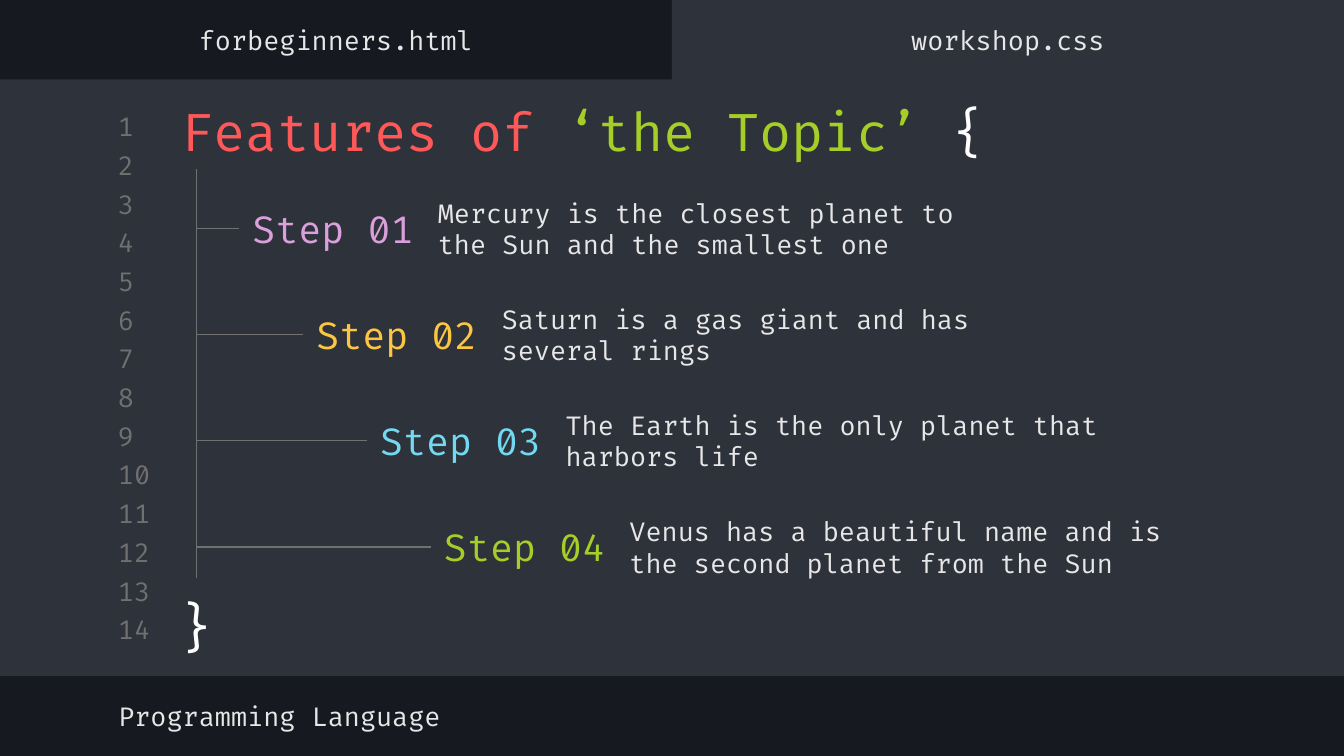
from lxml.etree import SubElement
from pptx import Presentation
from pptx.dml.color import RGBColor
from pptx.enum.shapes import MSO_CONNECTOR as CONN, MSO_SHAPE as SHAPE
from pptx.enum.text import MSO_ANCHOR as ANCHOR, MSO_AUTO_SIZE as AUTO, PP_ALIGN as ALIGN
from pptx.oxml.ns import qn
from pptx.util import Inches, Pt

COLS, ROWS = 100, 56.25
SLIDE_W, SLIDE_H = Inches(10), Inches(5.625)
FONT = "Fira Code"
COLORS = {
    "dark": "16191F", "panel": "2E323B", "muted": "707070", "text": "E7E7E7",
    "white": "FFFFFF", "red": "FF5858", "green": "A5CF27", "pink": "DBA0DB",
    "yellow": "FCC642", "blue": "72D9F0",
}
STEPS = [
    ("Step 01", "pink", "Mercury is the closest planet to the Sun and the smallest one"),
    ("Step 02", "yellow", "Saturn is a gas giant and has several rings"),
    ("Step 03", "blue", "The Earth is the only planet that harbors life"),
    ("Step 04", "green", "Venus has a beautiful name and is the second planet from the Sun"),
]


def color(name):
    """Return the named colour."""
    return RGBColor.from_string(COLORS[name])


def grid_x(col):
    """Turn grid columns into a length."""
    return round(SLIDE_W * col / COLS)


def grid_y(row):
    """Turn grid rows into a length."""
    return round(SLIDE_H * row / ROWS)


def place(box):
    """Turn a grid box into left, top, width and height."""
    x, y, w, h = box
    return grid_x(x), grid_y(y), grid_x(w), grid_y(h)


def write(sp, runs, size=14, align=ALIGN.LEFT, anchor=ANCHOR.MIDDLE):
    """Fill a text shape with coloured runs."""
    tf = sp.text_frame
    tf.word_wrap = True
    tf.auto_size = AUTO.NONE
    tf.vertical_anchor = anchor
    tf.margin_left = tf.margin_right = tf.margin_top = tf.margin_bottom = Inches(0.1)
    p = tf.paragraphs[0]
    p.alignment = align
    p.space_before = Pt(0)
    for text, name in runs:
        r = p.add_run()
        r.text = text
        r.font.name = FONT
        r.font.size = Pt(size)
        r.font.bold = False
        r.font.color.rgb = color(name)


def add_text(s, box, runs, **style):
    """Add a text box."""
    write(s.shapes.add_textbox(*place(box)), runs, **style)


def fill_placeholder(s, idx, box, runs, **style):
    """Move a placeholder and fill it without a bullet."""
    sp = s.placeholders[idx]
    sp.left, sp.top, sp.width, sp.height = place(box)
    write(sp, runs, **style)
    pPr = sp.text_frame.paragraphs[0]._p.get_or_add_pPr()
    pPr.set("marL", "0")
    pPr.set("indent", "0")
    SubElement(pPr, qn("a:buNone"))


def add_panel(s, box):
    """Add a plain editor panel."""
    sp = s.shapes.add_shape(SHAPE.RECTANGLE, *place(box))
    sp.shadow.inherit = False
    sp.fill.solid()
    sp.fill.fore_color.rgb = color("panel")
    sp.line.fill.background()
    s.shapes._spTree.insert(2, sp._element)


def add_line(s, x1, y1, x2, y2):
    """Add a thin guide line between two grid points."""
    line = s.shapes.add_connector(CONN.STRAIGHT, grid_x(x1), grid_y(y1), grid_x(x2), grid_y(y2))
    line.line.color.rgb = color("muted")
    line.line.width = Pt(0.75)
    SubElement(line._element.spPr, qn("a:effectLst"))


def add_tabs(s, box):
    """Add the two file tabs, the right one active."""
    x, y, w, h = box
    half = w / 2
    add_panel(s, (x + half, y, half, h))
    for i, (idx, name) in enumerate([(1, "forbeginners.html"), (3, "workshop.css")]):
        fill_placeholder(s, idx, (x + i * half, y + 1, half, 3.9), [(name, "text")],
                         align=ALIGN.CENTER)


def add_line_numbers(s, box, count=14):
    """Number the editor lines at equal gaps."""
    x, y, w, h = box
    pitch = h / count
    for i in range(count):
        add_text(s, (x, y + i * pitch, w, 2.4), [(str(i + 1), "muted")])


def add_heading(s, box):
    """Add the title and its closing brace."""
    x, y, w, h = box
    runs = [("Features of ", "red"), ("‘the Topic’ ", "green"), ("{", "white")]
    fill_placeholder(s, 0, (x, y, w, 5.9), runs, size=28, anchor=ANCHOR.TOP)
    add_text(s, (x - 0.6, y + h - 6.7, 5.5, 6.7), [("}", "white")], size=28,
             align=ALIGN.CENTER, anchor=ANCHOR.TOP)


def add_steps(s, box):
    """Add the indented steps hanging from one vertical guide."""
    x, y, w, h = box
    add_line(s, x, y, x, y + h)
    for i, (label, name, text) in enumerate(STEPS):
        left, top = x + 3.2 + i * 4.75, y + 1.2 + i * 7.9
        add_text(s, (left, top, 14.2, 6.4), [(label, name)], size=20)
        add_text(s, (left + 13.8, top, w, 6.4), [(text, "text")])
        add_line(s, x, top + 3.2, left, top + 3.2)


def main():
    """Build and save the slide."""
    prs = Presentation()
    prs.slide_width, prs.slide_height = SLIDE_W, SLIDE_H
    s = prs.slides.add_slide(prs.slide_layouts[4])
    s.background.fill.solid()
    s.background.fill.fore_color.rgb = color("dark")
    add_tabs(s, (0, 0, COLS, 6.5))
    add_panel(s, (0, 5.9, COLS, 44.4))
    add_line_numbers(s, (7.8, 8.2, 4.7, 40.3))
    add_heading(s, (12.5, 6.4, 79.7, 43.5))
    add_steps(s, (14.6, 12.6, 43.5, 30.4))
    fill_placeholder(s, 2, (7.8, 51.3, 53.2, 3.9), [("Programming Language", "text")])
    spare = s.placeholders[4]._element
    spare.getparent().remove(spare)
    prs.save("out.pptx")


if __name__ == "__main__":
    main()
